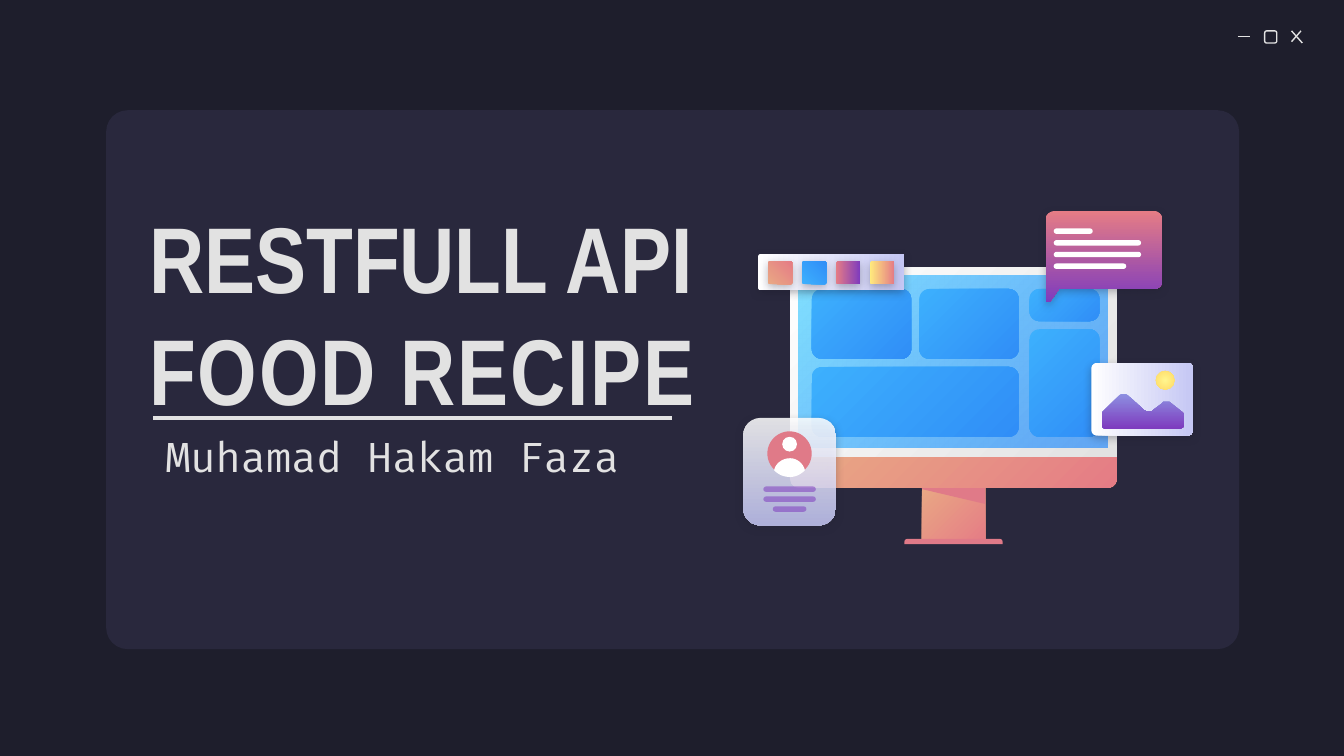
"""Build a dark title slide with a drawn desktop screen and floating cards."""
from lxml.etree import SubElement
from pptx import Presentation
from pptx.dml.color import RGBColor
from pptx.enum.shapes import MSO_CONNECTOR, MSO_SHAPE
from pptx.enum.text import MSO_ANCHOR, MSO_AUTO_SIZE, PP_ALIGN
from pptx.oxml.ns import qn
from pptx.util import Inches, Pt

WIDTH = Inches(10)
HEIGHT = WIDTH * 9 // 16
CELL = WIDTH / 100
INK = {
    "back": "1E1E2C", "panel": "29283D", "text": "E2E2E2", "white": "FFFFFF",
    "rose": "E07A88", "coral": "E57C85", "peach": "E9A984", "plum": "7E3BBE",
    "aqua": "80DFFF", "azure": "318FFA", "sky": "3DB0FD", "blue": "308EF7",
    "lilac": "C5C7F4", "iris": "8D90E1", "lemon": "FFF68E", "gold": "FFD966",
    "yellow": "FFEA7D",
}
WARM = ("peach", "coral", 45)
COOL = ("sky", "blue", 45)
DUSK = ("coral", "plum", 90)
PALE = ("white", "lilac", 90)
ROUND = MSO_SHAPE.ROUNDED_RECTANGLE
TOP = MSO_SHAPE.ROUND_2_SAME_RECTANGLE


def size(cells):
    return round(cells * CELL)


def tint(color, name, alpha=100):
    color.rgb = RGBColor.from_string(INK[name])
    if alpha < 100:
        for node in color._xFill.iter(qn("a:srgbClr")):
            SubElement(node, qn("a:alpha")).set("val", str(alpha * 1000))


def blend(shape, pair, alphas):
    first, last, angle = pair
    shape.fill.gradient()
    shape.fill.gradient_angle = (360 - angle) % 360
    for stop, name, alpha in zip(shape.fill.gradient_stops, (first, last), alphas):
        stop.color.rgb = RGBColor.from_string(INK[name])
        if alpha < 100:
            node = next(stop._gs.iter(qn("a:srgbClr")))
            SubElement(node, qn("a:alpha")).set("val", str(alpha * 1000))


def shade(shape):
    shadow = SubElement(shape.element.spPr.find(qn("a:effectLst")), qn("a:outerShdw"))
    for key, val in (("blurRad", Pt(4.5)), ("dist", Pt(1.5)), ("dir", 5400000),
                     ("algn", "bl"), ("rotWithShape", 0)):
        shadow.set(key, str(val))
    color = SubElement(shadow, qn("a:srgbClr"))
    color.set("val", INK["back"])
    SubElement(color, qn("a:alpha")).set("val", "30000")


def paint(shape, fill, alphas=(100, 100), cast=False):
    if fill is None:
        shape.fill.background()
    elif isinstance(fill, tuple):
        blend(shape, fill, alphas)
    else:
        shape.fill.solid()
        shape.fill.fore_color.rgb = RGBColor.from_string(INK[fill])
        if alphas[0] < 100:
            node = next(shape.element.spPr.iter(qn("a:srgbClr")))
            SubElement(node, qn("a:alpha")).set("val", str(alphas[0] * 1000))
    shape.line.fill.background()
    shape.shadow.inherit = False
    if cast:
        shade(shape)
    return shape


def block(host, box, fill, curve=0, kind=ROUND, turn=0, **look):
    shape = host.add_shape(kind, *map(size, box))
    if kind in (ROUND, TOP):
        shape.adjustments[0] = min(0.5, curve / min(box[2:]))
    shape.rotation = turn
    return paint(shape, fill, **look)


def disc(host, box, fill):
    return block(host, box, fill, kind=MSO_SHAPE.OVAL)


def bend(start, knots, steps=8):
    ends = [start, knots[:2], knots[2:4], knots[4:]]
    for step in range(1, steps + 1):
        t = step / steps
        parts = ((1 - t) ** 3, 3 * t * (1 - t) ** 2, 3 * t * t * (1 - t), t ** 3)
        yield tuple(sum(p * e[axis] for p, e in zip(parts, ends)) for axis in (0, 1))


def outline(host, moves, fill, **look):
    dots = [moves[0]]
    for move in moves[1:]:
        dots.extend([move] if len(move) == 2 else bend(dots[-1], move))
    dots = [(size(x), size(y)) for x, y in dots]
    pen = host.build_freeform(*dots[0])
    pen.add_line_segments(dots[1:])
    return paint(pen.convert_to_shape(), fill, **look)


def rule(host, ends, weight):
    line = host.add_connector(MSO_CONNECTOR.STRAIGHT, *map(size, ends))
    line.line.color.rgb = RGBColor.from_string(INK["text"])
    line.line.width = Pt(weight)
    SubElement(line.element.spPr, qn("a:effectLst"))


def group(slide):
    return slide.shapes.add_group_shape().shapes


def label(slide, shape, box, face, points, bold):
    slide.shapes.element.append(shape.element)
    shape.left, shape.top, shape.width, shape.height = map(size, box)
    frame = shape.text_frame
    frame.word_wrap = True
    frame.auto_size = MSO_AUTO_SIZE.NONE
    frame.vertical_anchor = MSO_ANCHOR.MIDDLE
    frame.margin_left = frame.margin_right = size(1)
    frame.margin_top = frame.margin_bottom = size(1)
    para = frame.paragraphs[0]
    para.alignment = PP_ALIGN.LEFT
    para.space_before = Pt(0)
    para.font.name, para.font.size, para.font.bold = face, Pt(points), bold
    para.font.color.rgb = RGBColor.from_string(INK["text"])
    return para


def window(slide):
    host = group(slide)
    rule(host, (92.1, 2.7, 93, 2.7), 0.75)
    frame = block(host, (94.1, 2.3, 0.9, 0.9), None, 0.15)
    frame.line.color.rgb = RGBColor.from_string(INK["text"])
    frame.line.width = Pt(0.75)
    rule(host, (96.1, 2.3, 96.9, 3.2), 0.75)
    rule(host, (96.8, 2.3, 96.1, 3.1), 0.75)


def screen(slide):
    host = group(slide)
    block(host, (68.6, 36.1, 4.7, 4.3), WARM)
    block(host, (67.3, 40.1, 7.3, 0.4), "rose", 0.25, TOP)
    outline(host, [(68.6, 36.1), (68.6, 36.4), (73.3, 37.5), (73.3, 36.1)], "rose")
    chin = block(host, (58.8, 33.9, 24.3, 2.4), WARM, 0, TOP)
    chin.adjustments[1] = 0.27
    block(host, (58.8, 19.9, 24.3, 14.1), ("white", "text", 45), 0.6, TOP)
    block(host, (59.4, 20.5, 23, 12.8), ("aqua", "azure", 45), alphas=(100, 72))
    for tile in ((60.4, 21.5, 7.4, 5.2), (60.4, 27.3, 15.4, 5.2), (68.4, 21.5, 7.4, 5.2),
                 (76.6, 21.5, 5.2, 2.4), (76.6, 24.5, 5.2, 8)):
        block(host, tile, COOL, 0.75)


def bubble(slide):
    host = group(slide)
    outline(host, [(78.5, 15.7), (78.1, 15.7, 77.8, 16, 77.8, 16.4), (77.8, 22.4),
                   (77.8, 22.5, 77.9, 22.5, 78, 22.5), (78, 22.5, 78.1, 22.5, 78.1, 22.5),
                   (78.8, 21.5), (85.9, 21.5), (86.2, 21.5, 86.5, 21.2, 86.5, 20.9),
                   (86.5, 16.4), (86.5, 16, 86.2, 15.7, 85.9, 15.7)], DUSK, cast=True)
    for row, wide in enumerate((2.9, 6.5, 6.5, 5.4)):
        block(host, (78.4, 17 + 0.87 * row, wide, 0.4), "white", 0.2)


def profile(slide):
    host = group(slide)
    block(host, (55.3, 31.1, 6.9, 8), PALE, 1.29, alphas=(86, 86), cast=True)
    disc(host, (57.1, 32.1, 3.3, 3.3), "rose")
    disc(host, (58.2, 32.5, 1.1, 1.1), "white")
    outline(host, [(58.8, 34.1), (58.2, 34.1, 57.7, 34.5, 57.6, 35),
                   (57.9, 35.3, 58.3, 35.5, 58.8, 35.5), (59.2, 35.5, 59.6, 35.3, 59.9, 35),
                   (59.8, 34.5, 59.3, 34.1, 58.8, 34.1)], "white")
    for row, wide in enumerate((3.9, 3.9, 2.5)):
        block(host, (58.75 - wide / 2, 36.2 + 0.74 * row, wide, 0.4), "plum", 0.2, alphas=(54, 54))


def photo(slide):
    host = group(slide)
    block(host, (82.3, 25.9, 5.4, 7.6), PALE, 0.4, turn=270, cast=True)
    outline(host, [(83.6, 29.3), (83.5, 29.3, 83.4, 29.3, 83.3, 29.4), (82.1, 30.6),
                   (82, 30.7, 82, 30.7, 82, 30.8), (82, 31.6), (82, 31.8, 82.1, 31.9, 82.3, 31.9),
                   (87.7, 31.9), (87.9, 31.9, 88.1, 31.8, 88.1, 31.6), (88.1, 30.9),
                   (88.1, 30.8, 88, 30.7, 88, 30.7), (87, 29.9),
                   (86.9, 29.9, 86.8, 29.9, 86.7, 29.9), (86.6, 29.9, 86.5, 29.9, 86.5, 30),
                   (85.7, 30.6), (85.6, 30.6, 85.5, 30.6, 85.4, 30.6),
                   (85.3, 30.6, 85.2, 30.6, 85.1, 30.5), (83.9, 29.4),
                   (83.8, 29.3, 83.7, 29.3, 83.6, 29.3)], ("iris", "plum", 90))
    sun = disc(host, (86, 27.6, 1.4, 1.4), ("lemon", "gold", 0))
    grad = sun.element.spPr.find(qn("a:gradFill"))
    grad.remove(grad.find(qn("a:lin")))
    glow = SubElement(grad, qn("a:path"))
    glow.set("path", "circle")
    rect = SubElement(glow, qn("a:fillToRect"))
    for side in "ltrb":
        rect.set(side, "50000")


def swatches(slide):
    host = group(slide)
    block(host, (60.5, 14.8, 2.7, 10.9), PALE, 0.2, turn=270, cast=True)
    for spot, fill in enumerate((WARM, COOL, DUSK, ("yellow", "coral", 90))):
        block(host, (57.2 + 2.53 * spot, 19.4, 1.7, 1.8), fill, 0.12, turn=270, cast=True)


def main():
    deck = Presentation()
    deck.slide_width, deck.slide_height = WIDTH, HEIGHT
    slide = deck.slides.add_slide(deck.slide_layouts[0])
    slide.background.fill.solid()
    slide.background.fill.fore_color.rgb = RGBColor.from_string(INK["back"])
    title, author = slide.placeholders
    block(slide.shapes, (7.9, 8.2, 84.3, 40.1), "panel", 1.6)
    window(slide)
    para = label(slide, title, (10.1, 14.4, 44.7, 17.6), "Arial Narrow", 50, True)
    para.add_run().text = "RESTFULL API"
    para.add_line_break()
    run = para.add_run()
    run.text = "FOOD RECIPE"
    run.font._element.set("spc", "100")
    for draw in (screen, bubble, profile, photo, swatches):
        draw(slide)
    para = label(slide, author, (9.8, 30.5, 40.7, 6.9), "Fira Code", 22, False)
    para.text = "Muhamad Hakam Faza"
    para._p.pPr.set("marL", str(size(5)))
    para._p.pPr.set("indent", str(size(-3.5)))
    rule(slide.shapes, (11.4, 31.1, 50, 31.1), 2.25)
    deck.save("out.pptx")


if __name__ == "__main__":
    main()
